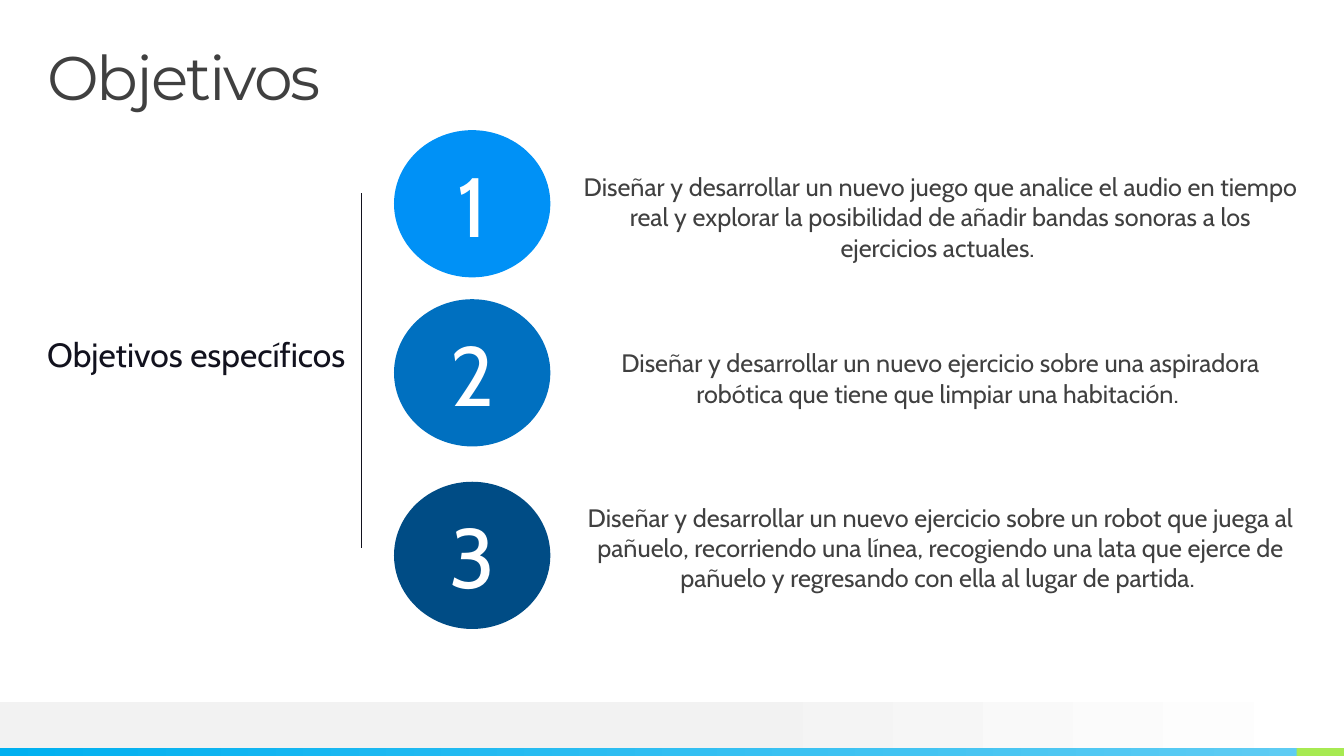
"""Build the slide that lists the three specific objectives."""
import pptx
import pptx.dml.color
import pptx.enum.shapes
import pptx.enum.text
import pptx.oxml
import pptx.oxml.ns
import pptx.util

Cm, Pt = pptx.util.Cm, pptx.util.Pt
SHAPE = pptx.enum.shapes.MSO_SHAPE
ALIGN = pptx.enum.text.PP_ALIGN
ANCHOR = pptx.enum.text.MSO_ANCHOR

TITLE = "Objetivos"
LABEL = "Objetivos específicos"
OBJECTIVES = [
    {
        "text": "Diseñar y desarrollar un nuevo juego que analice el audio en tiempo real y "
                "explorar la posibilidad de añadir bandas sonoras a los ejercicios actuales. ",
        "color": "first", "circle_top": 3.28, "text_top": 4.32, "text_height": 2.64,
    },
    {
        "text": "Diseñar y desarrollar un nuevo ejercicio sobre una aspiradora robótica que "
                "tiene que limpiar una habitación. ",
        "color": "second", "circle_top": 7.54, "text_top": 8.76, "text_height": 1.93,
    },
    {
        "text": "Diseñar y desarrollar un nuevo ejercicio sobre un robot que juega al pañuelo, "
                "recorriendo una línea, recogiendo una lata que ejerce de pañuelo y regresando "
                "con ella al lugar de partida. ",
        "color": "third", "circle_top": 12.14, "text_top": 12.65, "text_height": 3.96,
    },
]
COLORS = {
    "text": "404040", "ink": "12121E", "white": "FFFFFF",
    "first": "0091F6", "second": "0070C0", "third": "004C85",
    "band": "F2F2F2", "sky": "00B0F0", "pale_sky": "5ECCF3", "green": "A7EA52",
}
WIDTH, HEIGHT = 33.87, 19.05
MARGIN = 1.19
STRIP_HEIGHT, BAND_HEIGHT = 0.2, 1.17
STRIP_TOP = HEIGHT - STRIP_HEIGHT
BAND_TOP = STRIP_TOP - BAND_HEIGHT
CIRCLE_LEFT, CIRCLE_WIDTH, CIRCLE_HEIGHT = 9.93, 3.94, 3.71
TEXT_LEFT, TEXT_WIDTH = 14.7, 18.0
DIVIDER_X, DIVIDER_TOP, DIVIDER_BOTTOM = 9.1, 4.87, 13.81


def rgb(name):
    return pptx.dml.color.RGBColor.from_string(COLORS[name])


def add_filled(slide, kind, box, *stops):
    shape = slide.shapes.add_shape(kind, *map(Cm, box))
    shape.shadow.inherit = False
    shape.line.fill.background()
    if len(stops) == 1:
        shape.fill.solid()
        shape.fill.fore_color.rgb = rgb(stops[0])
    else:
        shape.fill.gradient()
        shape.fill.gradient_angle = 0
        for stop, (position, name) in zip(shape.fill.gradient_stops, stops):
            stop.position = position
            stop.color.rgb = rgb(name)
    return shape


def write(frame, text, size, color, align, font="Cabin"):
    frame.word_wrap = True
    paragraph = frame.paragraphs[0]
    paragraph.text = text
    paragraph.alignment = align
    paragraph.font.name = font
    paragraph.font.size = Pt(size)
    paragraph.font.color.rgb = rgb(color)
    return paragraph


def add_text(slide, box, *style, **options):
    frame = slide.shapes.add_textbox(*map(Cm, box)).text_frame
    frame.margin_left = frame.margin_right = frame.margin_top = frame.margin_bottom = 0
    return write(frame, *style, **options)


def main():
    deck = pptx.Presentation()
    deck.slide_width, deck.slide_height = Cm(WIDTH), Cm(HEIGHT)
    slide = deck.slides.add_slide(deck.slide_layouts[6])

    add_filled(slide, SHAPE.RECTANGLE, (0, BAND_TOP, WIDTH, BAND_HEIGHT),
               (0.53, "band"), (1, "white"))
    add_filled(slide, SHAPE.RECTANGLE, (0, STRIP_TOP, WIDTH - MARGIN, STRIP_HEIGHT),
               (0, "sky"), (1, "pale_sky"))
    add_filled(slide, SHAPE.RECTANGLE, (WIDTH - MARGIN, STRIP_TOP, MARGIN, STRIP_HEIGHT), "green")

    title = add_text(slide, (MARGIN, MARGIN, WIDTH - 2 * MARGIN, 1.19),
                     TITLE, 44, "text", ALIGN.LEFT, font="Montserrat")
    title.line_spacing = 0.9
    title.runs[0].font._element.set("spc", "-150")
    add_text(slide, (MARGIN, 8.41, 9.58, 3.2), LABEL, 24, "ink", ALIGN.LEFT)

    for number, objective in enumerate(OBJECTIVES, 1):
        add_text(slide, (TEXT_LEFT, objective["text_top"], TEXT_WIDTH, objective["text_height"]),
                 objective["text"], 18, "text", ALIGN.CENTER)
        circle = add_filled(slide, SHAPE.OVAL,
                            (CIRCLE_LEFT, objective["circle_top"], CIRCLE_WIDTH, CIRCLE_HEIGHT),
                            objective["color"])
        circle.text_frame.vertical_anchor = ANCHOR.MIDDLE
        write(circle.text_frame, str(number), 60, "white", ALIGN.CENTER)

    divider = slide.shapes.add_connector(
        pptx.enum.shapes.MSO_CONNECTOR.STRAIGHT,
        Cm(DIVIDER_X), Cm(DIVIDER_TOP), Cm(DIVIDER_X), Cm(DIVIDER_BOTTOM))
    divider.line.color.rgb = rgb("ink")
    divider.line.width = Pt(0.5)
    divider._element.spPr.append(pptx.oxml.parse_xml(
        f"<a:effectLst {pptx.oxml.ns.nsdecls('a')}/>"))

    deck.save("out.pptx")


if __name__ == "__main__":
    main()
